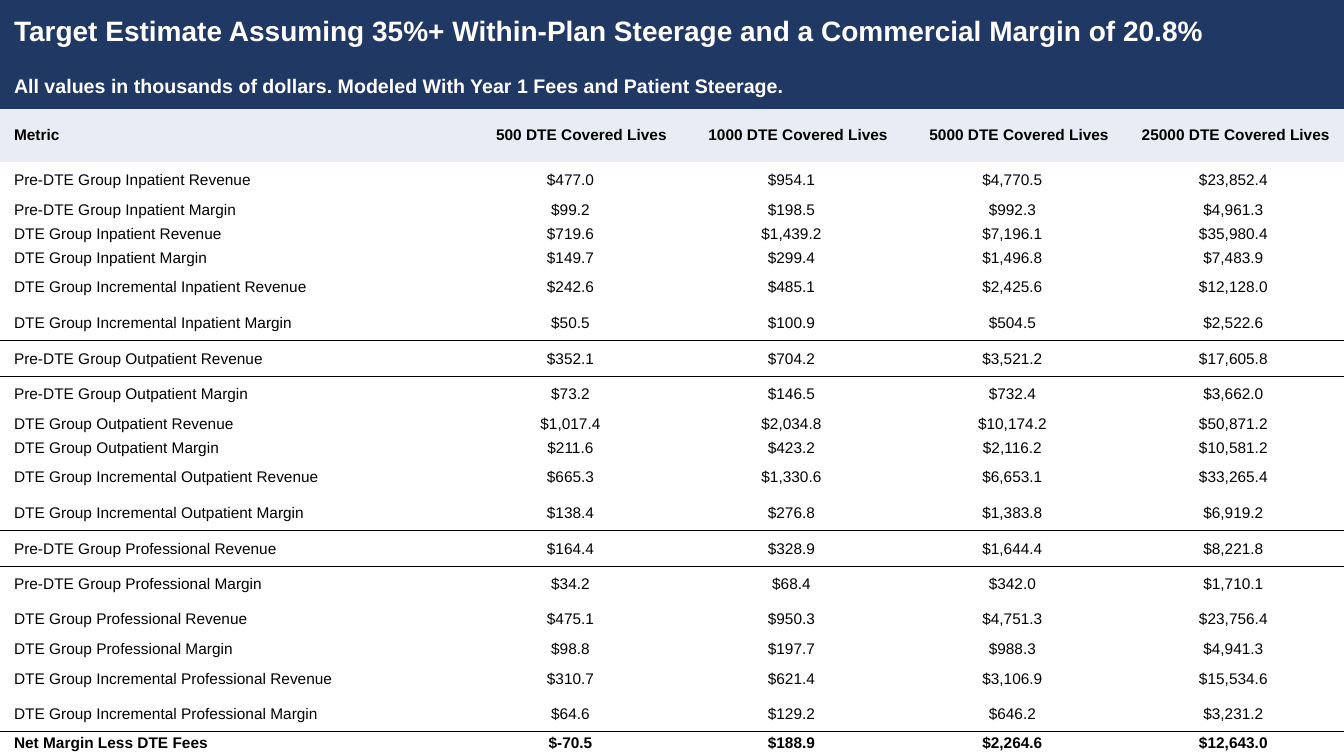
from lxml import etree
from pptx import Presentation
from pptx.dml.color import RGBColor
from pptx.enum.text import MSO_ANCHOR, PP_ALIGN
from pptx.oxml.ns import qn
from pptx.util import Pt

LEFT, MID, RIGHT = PP_ALIGN.LEFT, PP_ALIGN.CENTER, PP_ALIGN.RIGHT
CENTER = MSO_ANCHOR.MIDDLE
PLAIN = "{2D5ABB26-0587-4C30-8999-92F81FD0307C}"

THEME = {
    "font": "Arial",
    "navy": "203864", "pale": "E7ECF5", "white": "FFFFFF", "black": "000000",
    "title": 20, "sub": 14, "body": 11, "rule": 1,
}


def px(n):
    return round(n * 914400 / 100.8)


def assign(item, values):
    for name, value in values.items():
        setattr(item, name, value)


WIDTH, HEIGHT, INDENT = 1344, 756, 14
COLS = [460] + [221] * 4
ROWS = [64, 45, 53,
        36, 24, 24, 24, 35, 36,
        36, 35, 24, 24, 35, 36,
        36, 35, 36, 24, 35, 35,
        24]

KINDS = [f"{group} {{}} {kind}"
         for group in ("Pre-DTE Group", "DTE Group", "DTE Group Incremental")
         for kind in ("Revenue", "Margin")]
LIVES = [500, 1000, 5000, 25000]
PARTS = {
    "Inpatient": [
        (477.0, 954.1, 4770.5, 23852.4),
        (99.2, 198.5, 992.3, 4961.3),
        (719.6, 1439.2, 7196.1, 35980.4),
        (149.7, 299.4, 1496.8, 7483.9),
        (242.6, 485.1, 2425.6, 12128.0),
        (50.5, 100.9, 504.5, 2522.6),
    ],
    "Outpatient": [
        (352.1, 704.2, 3521.2, 17605.8),
        (73.2, 146.5, 732.4, 3662.0),
        (1017.4, 2034.8, 10174.2, 50871.2),
        (211.6, 423.2, 2116.2, 10581.2),
        (665.3, 1330.6, 6653.1, 33265.4),
        (138.4, 276.8, 1383.8, 6919.2),
    ],
    "Professional": [
        (164.4, 328.9, 1644.4, 8221.8),
        (34.2, 68.4, 342.0, 1710.1),
        (475.1, 950.3, 4751.3, 23756.4),
        (98.8, 197.7, 988.3, 4941.3),
        (310.7, 621.4, 3106.9, 15534.6),
        (64.6, 129.2, 646.2, 3231.2),
    ],
}
NET = (-70.5, 188.9, 2264.6, 12643.0)

HEAD = {"fill": "pale", "ink": "black", "size": "body", "bold": True, "align": RIGHT}
BODY = {"fill": None, "ink": "black", "size": "body", "bold": False, "align": MID}
BAND = {"fill": "navy", "ink": "white", "size": "title", "bold": True, "align": LEFT}

lines = [
    (["Target Estimate Assuming 35%+ Within-Plan Steerage and a Commercial Margin of 20.8%"], BAND, None),
    (["All values in thousands of dollars. Modeled With Year 1 Fees and Patient Steerage."],
     BAND | {"size": "sub"}, None),
    (["Metric"] + [f"{count} DTE Covered Lives" for count in LIVES], HEAD, None),
]
for part, rows in PARTS.items():
    for kind, row in zip(KINDS, rows):
        edge = None
        if kind == KINDS[-1]:
            edge = "a:lnB"
        elif kind == KINDS[0] and part != "Inpatient":
            edge = "a:lnT"
        lines.append(([kind.format(part)] + [f"${value:,.1f}" for value in row], BODY, edge))
lines.append((["Net Margin Less DTE Fees"] + [f"${value:,.1f}" for value in NET],
              BODY | {"bold": True}, "a:lnT"))

deck = Presentation()
assign(deck, {"slide_width": px(WIDTH), "slide_height": px(HEIGHT)})
slide = deck.slides.add_slide(deck.slide_layouts[6])
frame = slide.shapes.add_table(len(ROWS), len(COLS), 0, 0, px(WIDTH), px(HEIGHT))
table = frame.table
assign(table, {"first_row": False, "horz_banding": False})
table._tbl.tblPr.find(qn("a:tableStyleId")).text = PLAIN
for col, width in zip(table.columns, COLS):
    col.width = px(width)
for row, height in zip(table.rows, ROWS):
    row.height = px(height)

for r, (texts, style, edge) in enumerate(lines):
    if len(texts) == 1:
        table.cell(r, 0).merge(table.cell(r, len(COLS) - 1))
    for c, text in enumerate(texts):
        cell = table.cell(r, c)
        assign(cell, {"margin_left": 0, "margin_right": 0, "margin_top": 0,
                      "margin_bottom": 0, "vertical_anchor": CENTER})
        if edge:
            line = etree.SubElement(cell._tc.get_or_add_tcPr(), qn(edge), w=str(Pt(THEME["rule"])))
            paint = etree.SubElement(line, qn("a:solidFill"))
            etree.SubElement(paint, qn("a:srgbClr"), val=THEME["black"])
        if style["fill"]:
            cell.fill.solid()
            cell.fill.fore_color.rgb = RGBColor.from_string(THEME[style["fill"]])
        else:
            cell.fill.background()
        para = cell.text_frame.paragraphs[0]
        para.alignment = style["align"] if c else LEFT
        for side in ("marL", "marR"):
            para._p.get_or_add_pPr().set(side, str(px(INDENT)))
        run = para.add_run()
        run.text = text
        assign(run.font, {"name": THEME["font"], "size": Pt(THEME[style["size"]]),
                          "bold": style["bold"]})
        run.font.color.rgb = RGBColor.from_string(THEME[style["ink"]])

deck.save("out.pptx")
